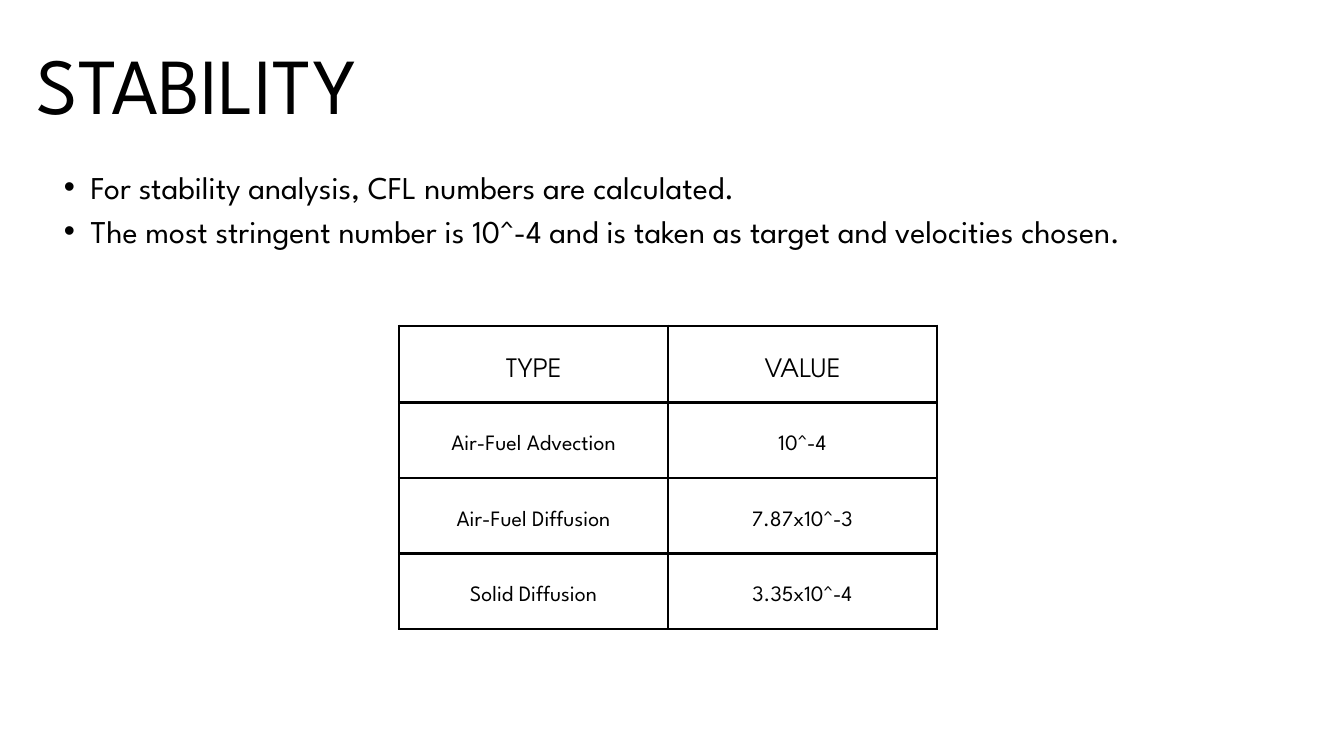
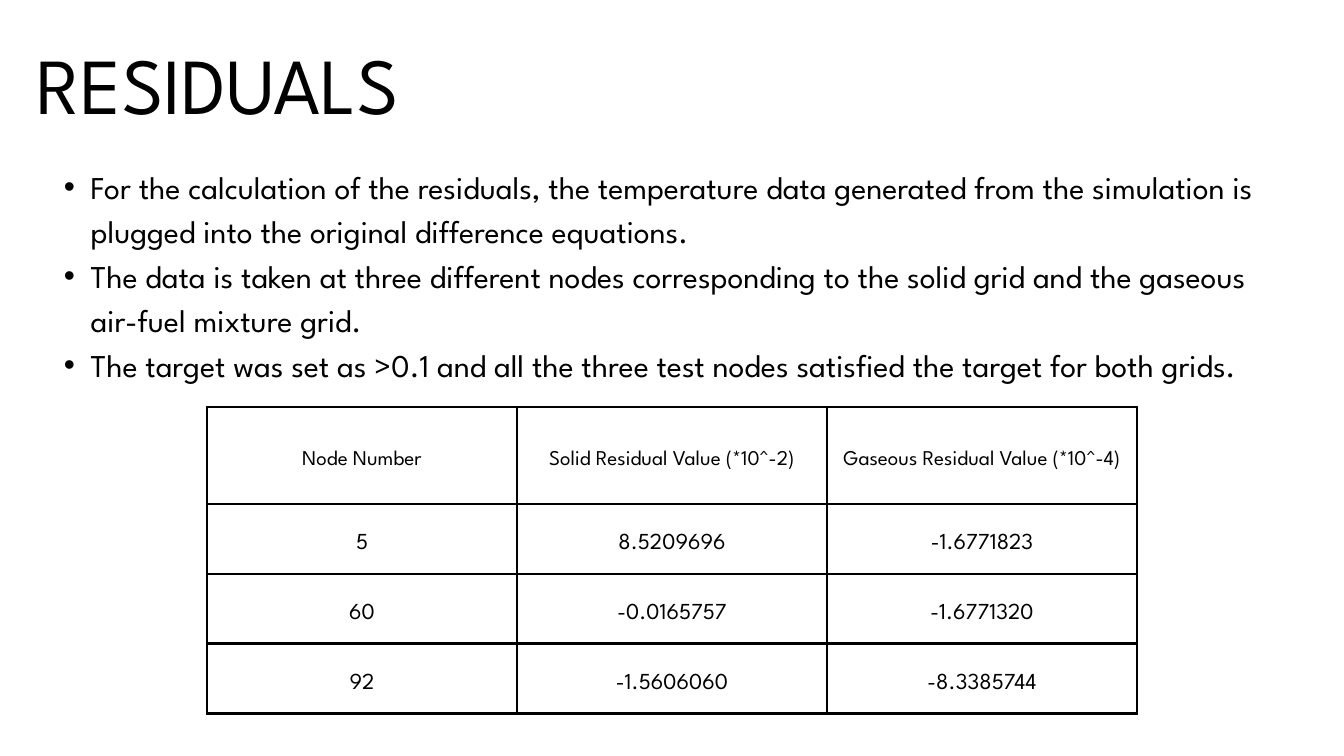
from dataclasses import dataclass

from lxml.etree import SubElement
from pptx import Presentation
from pptx.dml.color import RGBColor
from pptx.enum.text import MSO_ANCHOR as Anchor, MSO_AUTO_SIZE as AutoSize, PP_ALIGN as Align
from pptx.oxml.ns import qn
from pptx.util import Pt


@dataclass(frozen=True)
class Theme:
    ink: RGBColor = RGBColor(0, 0, 0)
    paper: RGBColor = RGBColor(255, 255, 255)
    font: str = "League Spartan"
    label_font: str = "TeX Gyre Adventor"
    title_size: float = 85
    body_size: float = 34
    leading: float = 1.4
    border: float = 3
    cell_margin: float = 15


@dataclass(frozen=True)
class Box:
    left: float
    top: float
    width: float
    height: float

    def lengths(self):
        return Pt(self.left), Pt(self.top), Pt(self.width), Pt(self.height)


@dataclass(frozen=True)
class RowStyle:
    height: float
    size: float
    font: str


THEME = Theme()
PAGE = Box(0, 0, 1440, 810)
MARGIN = 39.6


def style_paragraph(para, size, font=THEME.font, align=Align.LEFT):
    para.alignment = align
    para.line_spacing = Pt(round(size * THEME.leading, 1))
    for span in para.runs:
        span.font.size = Pt(size)
        span.font.name = font
        span.font.color.rgb = THEME.ink


def add_text_frame(page, box):
    frame = page.shapes.add_textbox(*box.lengths()).text_frame
    frame.word_wrap = True
    frame.auto_size = AutoSize.SHAPE_TO_FIT_TEXT
    frame.margin_left = frame.margin_right = frame.margin_top = frame.margin_bottom = 0
    return frame


def add_title(page, box, text):
    frame = add_text_frame(page, box)
    frame.text = text
    style_paragraph(frame.paragraphs[0], THEME.title_size)


def add_bullets(page, box, lines):
    frame = add_text_frame(page, box)
    frame.text = "\n".join(lines)
    for para in frame.paragraphs:
        para.level = 1
        properties = para._p.get_or_add_pPr()
        properties.set("marL", str(Pt(57.6)))
        properties.set("indent", str(Pt(-28.8)))
        SubElement(properties, qn("a:buFont")).set("typeface", "Arial")
        SubElement(properties, qn("a:buChar")).set("char", "•")
        style_paragraph(para, THEME.body_size)


def style_cell(cell, style):
    # Borders come before the fill in the cell properties
    properties = cell._tc.get_or_add_tcPr()
    for side in ("a:lnL", "a:lnR", "a:lnT", "a:lnB"):
        line = SubElement(properties, qn(side), w=str(Pt(THEME.border)))
        fill = SubElement(line, qn("a:solidFill"))
        SubElement(fill, qn("a:srgbClr")).set("val", str(THEME.ink))
    cell.fill.background()
    cell.vertical_anchor = Anchor.MIDDLE
    cell.margin_left = cell.margin_right = Pt(THEME.cell_margin)
    cell.margin_top = cell.margin_bottom = Pt(THEME.cell_margin)
    style_paragraph(cell.text_frame.paragraphs[0], style.size, style.font, Align.CENTER)


def add_grid(page, box, rows, header, body):
    table = page.shapes.add_table(len(rows), len(rows[0]), *box.lengths()).table
    table.first_row = table.horz_banding = False
    for column in table.columns:
        column.width = Pt(box.width / len(rows[0]))
    for row_index, values in enumerate(rows):
        style = body if row_index else header
        table.rows[row_index].height = Pt(style.height)
        for column_index, value in enumerate(values):
            cell = table.cell(row_index, column_index)
            cell.text = value
            style_cell(cell, style)


def add_page(deck, title, title_width, lines, bullets_height, grid_box, rows, header, body):
    page = deck.slides.add_slide(deck.slide_layouts[6])
    page.background.fill.solid()
    page.background.fill.fore_color.rgb = THEME.paper
    add_grid(page, grid_box, rows, header, body)
    add_title(page, Box(MARGIN, 20.9, title_width, 127.4), title)
    add_bullets(page, Box(MARGIN, 172.8, 1352.2, bullets_height), lines)


def main():
    deck = Presentation()
    deck.slide_width, deck.slide_height = Pt(PAGE.width), Pt(PAGE.height)

    # Stability: CFL numbers
    add_page(
        deck, "STABILITY", 1161.4,
        ["For stability analysis, CFL numbers are calculated.",
         "The most stringent number is 10^-4 and is taken as target and velocities chosen."],
        93.6,
        Box(427.7, 349.2, 576, 324.6),
        [("TYPE", "VALUE"),
         ("Air-Fuel Advection", "10^-4"),
         ("Air-Fuel Diffusion", "7.87x10^-3"),
         ("Solid Diffusion", "3.35x10^-4")],
        header=RowStyle(82, 27, THEME.label_font),
        body=RowStyle(80.9, 23.5, THEME.font),
    )

    # Residuals: values at the test nodes
    add_page(
        deck, "RESIDUALS", 1221.1,
        ["For the calculation of the residuals, the temperature data generated from the "
         "simulation is plugged into the original difference equations.",
         "The data is taken at three different nodes corresponding to the solid grid and "
         "the gaseous air-fuel mixture grid.",
         "The target was set as >0.1 and all the three test nodes satisfied the target "
         "for both grids."],
        235.4,
        Box(221.8, 436.3, 996.5, 328.3),
        [("Node Number", "Solid Residual Value (*10^-2)", "Gaseous Residual Value (*10^-4)"),
         ("5", "8.5209696", "-1.6771823"),
         ("60", "-0.0165757", "-1.6771320"),
         ("92", "-1.5606060", "-8.3385744")],
        header=RowStyle(103.6, 22.5, THEME.font),
        body=RowStyle(74.9, 24.5, THEME.font),
    )

    deck.save("out.pptx")


if __name__ == "__main__":
    main()
